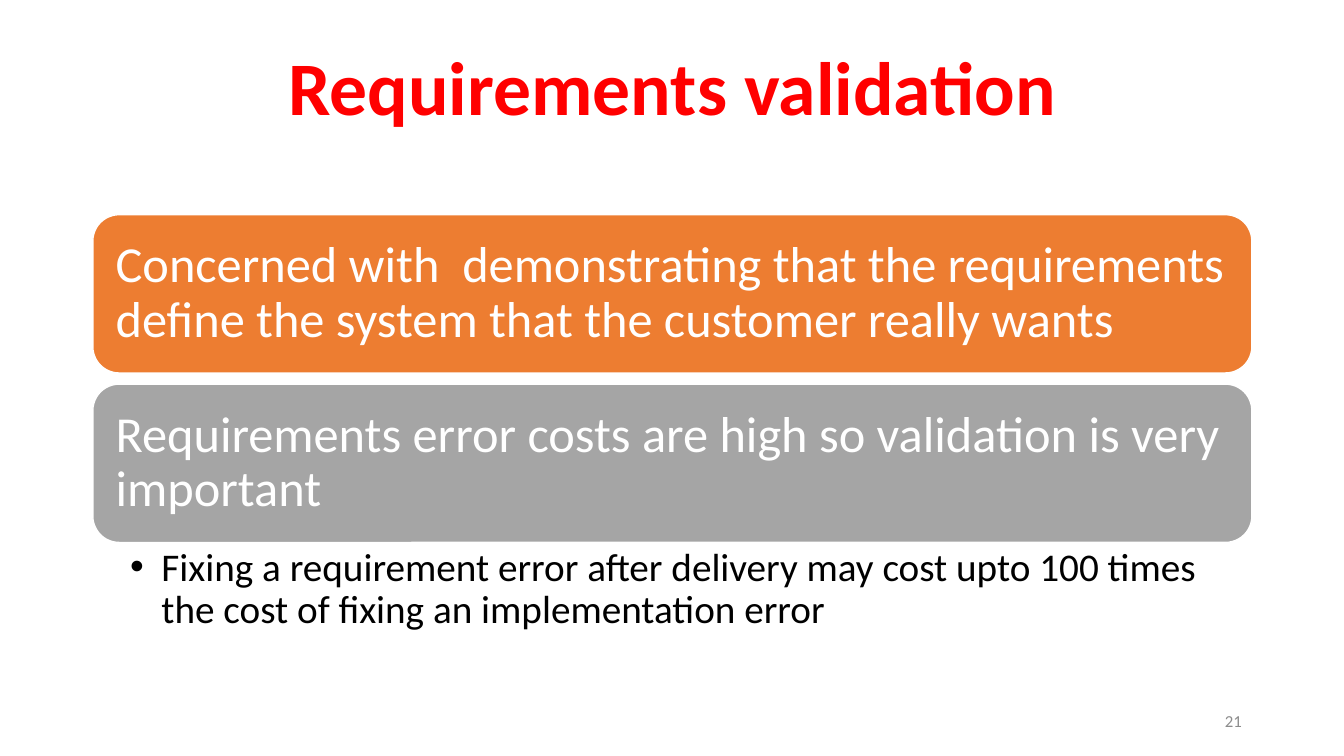
from lxml.etree import SubElement
from pptx import Presentation
from pptx.dml.color import RGBColor
from pptx.enum.shapes import MSO_SHAPE
from pptx.enum.text import MSO_ANCHOR, PP_ALIGN
from pptx.oxml.ns import qn
from pptx.util import Cm, Pt


def color(hex_value):
    return RGBColor.from_string(hex_value)


def write(shape, text, size, hex_value, frame_format, align=PP_ALIGN.LEFT, bold=False, spacing=0.9):
    frame = shape.text_frame
    frame.word_wrap = True
    for name, value in frame_format.items():
        setattr(frame, name, value)
    paragraph = frame.paragraphs[0]
    paragraph.alignment = align
    paragraph.line_spacing = spacing
    run = paragraph.add_run()
    run.text = text
    for name, value in {"name": "Calibri", "size": Pt(size), "bold": bold}.items():
        setattr(run.font, name, value)
    run.font.color.rgb = color(hex_value)
    return paragraph


prs = Presentation()
prs.slide_width, prs.slide_height = Cm(33.87), Cm(19.05)
slide = prs.slides.add_slide(prs.slide_layouts[6])
shapes = slide.shapes

left, width = Cm(2.34), Cm(29.21)
middle = {"vertical_anchor": MSO_ANCHOR.MIDDLE}

title = shapes.add_textbox(left, Cm(1.02), width, Cm(2.54))
write(title, "Requirements validation", 54, "FF0000", middle, PP_ALIGN.CENTER, bold=True)

statements = [
    ("Concerned with  demonstrating that the requirements define the system that the customer really wants", "ED7D31"),
    ("Requirements error costs are high so validation is very important", "A5A5A5"),
]
margins = ("margin_left", "margin_top", "margin_right", "margin_bottom")
statement_format = {**middle, **dict.fromkeys(margins, Cm(0.38))}
for row, (statement, fill) in enumerate(statements):
    panel = shapes.add_shape(
        MSO_SHAPE.ROUNDED_RECTANGLE, left, Cm(5.41 + 4.27 * row), width, Cm(3.99)
    )
    panel.shadow.inherit = False
    panel.fill.solid()
    panel.fill.fore_color.rgb = color(fill)
    panel.line.color.rgb = color("FFFFFF")
    panel.line.width = Pt(1)
    write(panel, statement, 36, "FFFFFF", statement_format)

detail = shapes.add_textbox(left, Cm(13.67), width, Cm(2.44))
detail_paragraph = write(
    detail,
    "Fixing a requirement error after delivery may cost upto 100 times the cost of fixing an implementation error",
    28,
    "000000",
    {"margin_left": Cm(0.94), "margin_right": Cm(0.71)},
)
detail_properties = detail_paragraph._p.get_or_add_pPr()
detail_properties.set("marL", str(Cm(0.79)))
detail_properties.set("indent", str(-Cm(0.79)))
SubElement(detail_properties, qn("a:buFont"), typeface="Arial")
SubElement(detail_properties, qn("a:buChar"), char="•")

page_number = shapes.add_textbox(Cm(23.93), Cm(17.65), Cm(7.62), Cm(1.02))
write(page_number, "21", 12, "8C8C8C", middle, PP_ALIGN.RIGHT, spacing=1.0)

prs.save("out.pptx")
